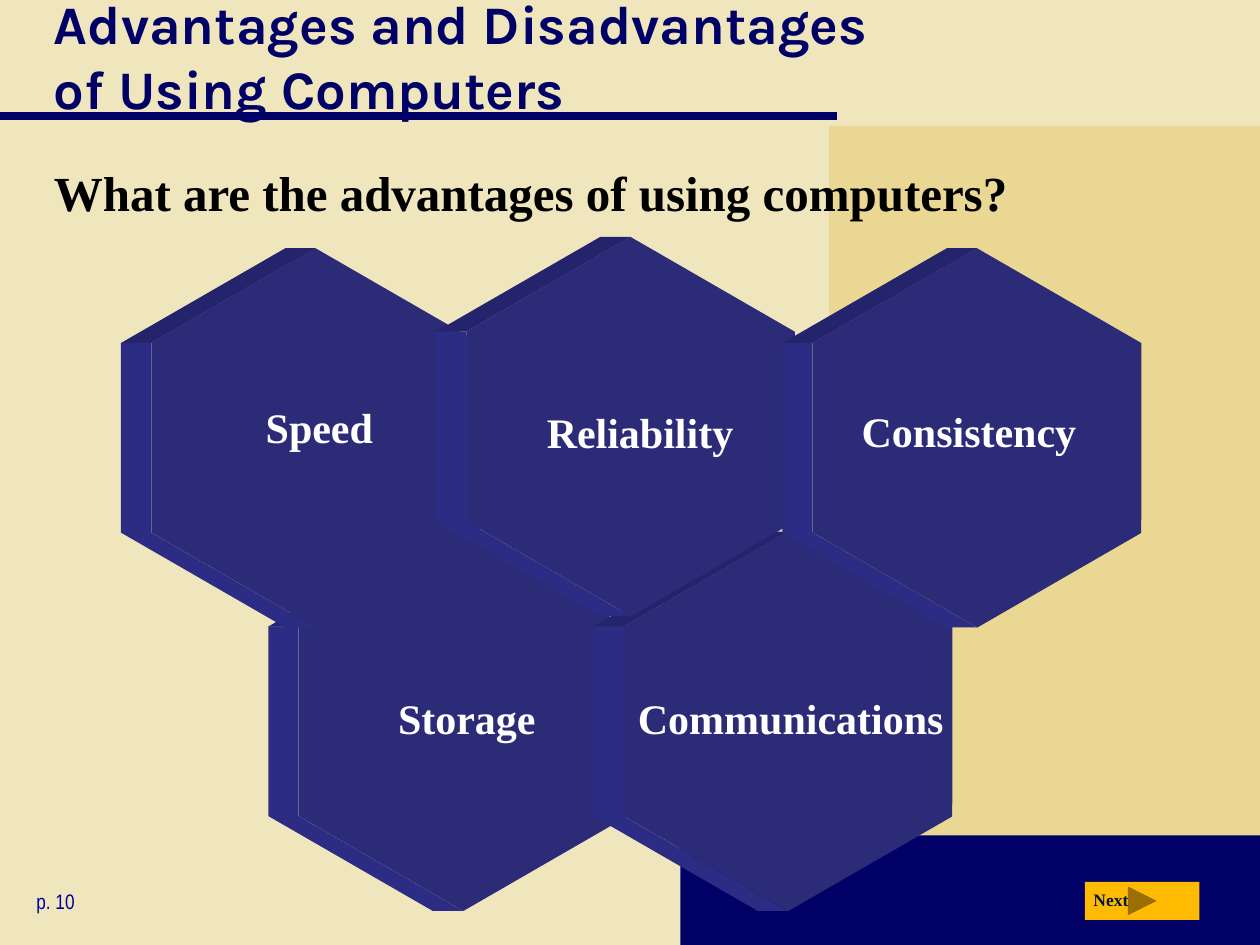
from dataclasses import dataclass

from lxml import etree
from pptx import Presentation
from pptx.dml.color import RGBColor
from pptx.enum.shapes import MSO_CONNECTOR, MSO_SHAPE
from pptx.enum.text import MSO_ANCHOR, PP_ALIGN
from pptx.oxml.ns import qn
from pptx.util import Inches, Pt

STRAIGHT = MSO_CONNECTOR.STRAIGHT
RECTANGLE = MSO_SHAPE.RECTANGLE
HEXAGON = MSO_SHAPE.HEXAGON
NEXT_BUTTON = MSO_SHAPE.ACTION_BUTTON_FORWARD_OR_NEXT
TOP, MIDDLE = MSO_ANCHOR.TOP, MSO_ANCHOR.MIDDLE
LEFT, CENTER = PP_ALIGN.LEFT, PP_ALIGN.CENTER


@dataclass(frozen=True)
class TextStyle:
    font: str
    size: float
    color: str
    bold: bool = True
    align: int = LEFT
    anchor: int = TOP
    top_inset: float = 0.05


@dataclass(frozen=True)
class Theme:
    background: str = "F0E6BE"
    sand: str = "E9D793"
    navy: str = "000066"
    face: str = "2B2B78"
    upper_side: str = "24246C"
    lower_side: str = "2C2C85"
    button: str = "FFBA02"
    title: TextStyle = TextStyle("Karla", 31, "000066", anchor=MIDDLE)
    question: TextStyle = TextStyle("Times New Roman", 28, "000000", top_inset=0.1)
    label: TextStyle = TextStyle("Times New Roman", 24, "FFFFFF", align=CENTER, top_inset=0.08)
    page: TextStyle = TextStyle("Arial Narrow", 12, "000099", bold=False)
    next: TextStyle = TextStyle("Times New Roman", 10, "001932")


@dataclass(frozen=True)
class Box:
    left: float
    top: float
    width: float
    height: float

    def lengths(self) -> tuple:
        return tuple(Inches(v) for v in (self.left, self.top, self.width, self.height))


@dataclass(frozen=True)
class Advantage:
    name: str
    left: float
    top: float
    label: Box


THEME = Theme()
HEX_WIDTH, HEX_HEIGHT, DEPTH = 3.01, 2.61, 0.24

LOWER_ROW = [
    Advantage("Storage", 2.17, 4.42, Box(2.33, 5.42, 2.75, 0.5)),
    Advantage("Communications", 4.75, 4.42, Box(4.9, 5.42, 2.75, 0.5)),
]
UPPER_ROW = [
    Advantage("Speed", 1, 2.17, Box(1.17, 3.11, 2.73, 0.5)),
    Advantage("Reliability", 3.5, 2.08, Box(3.67, 3.15, 2.82, 0.5)),
    Advantage("Consistency", 6.25, 2.17, Box(6.28, 3.14, 2.82, 0.5)),
]


def paint(shape, color: str) -> None:
    shape.fill.solid()
    shape.fill.fore_color.rgb = RGBColor.from_string(color)
    shape.line.fill.background()
    shape.shadow.inherit = False


def add_block(shapes, preset: int, box: Box, color: str):
    shape = shapes.add_shape(preset, *box.lengths())
    paint(shape, color)
    return shape


def add_text(shapes, text: str, box: Box, style: TextStyle) -> None:
    text_frame = shapes.add_textbox(*box.lengths()).text_frame
    text_frame.word_wrap = True
    text_frame.vertical_anchor = style.anchor
    text_frame.margin_top = Inches(style.top_inset)
    paragraph = text_frame.paragraphs[0]
    paragraph.text = text
    paragraph.alignment = style.align
    for run in paragraph.runs:
        run.font.name = style.font
        run.font.size = Pt(style.size)
        run.font.bold = style.bold
        run.font.color.rgb = RGBColor.from_string(style.color)


def add_side(shapes, edge: list, color: str) -> None:
    back = [(x - DEPTH, y) for x, y in reversed(edge)]
    points = [(Inches(x), Inches(y)) for x, y in edge + back]
    builder = shapes.build_freeform(*points[0])
    builder.add_line_segments(points[1:], close=True)
    paint(builder.convert_to_shape(), color)


def add_advantage(slide, advantage: Advantage) -> None:
    shapes = slide.shapes.add_group_shape().shapes
    center_x = advantage.left + HEX_WIDTH / 2
    center_y = advantage.top + HEX_HEIGHT / 2
    side_x = center_x - HEX_HEIGHT / 2
    peak = (center_x, center_y - HEX_WIDTH / 2)
    upper = (side_x, center_y - HEX_WIDTH / 4)
    lower = (side_x, center_y + HEX_WIDTH / 4)
    foot = (center_x, center_y + HEX_WIDTH / 2)
    add_side(shapes, [peak, upper], THEME.upper_side)
    add_side(shapes, [upper, lower, foot], THEME.lower_side)
    box = Box(advantage.left, advantage.top, HEX_WIDTH, HEX_HEIGHT)
    face = add_block(shapes, HEXAGON, box, THEME.face)
    face.adjustments[0] = 0.289
    face.rotation = 330
    add_text(shapes, advantage.name, advantage.label, THEME.label)


def add_title_rule(slide) -> None:
    rule = slide.shapes.add_connector(
        STRAIGHT, Inches(0), Inches(0.92), Inches(6.64), Inches(0.92)
    )
    rule.line.color.rgb = RGBColor.from_string(THEME.navy)
    rule.line.width = Pt(5)
    etree.SubElement(rule.element.spPr, qn("a:effectLst"))


def add_next_button(slide) -> None:
    shapes = slide.shapes.add_group_shape().shapes
    add_block(shapes, NEXT_BUTTON, Box(8.61, 7, 0.91, 0.3), THEME.button)
    add_text(shapes, "Next", Box(8.58, 7.01, 0.51, 0.27), THEME.next)


def main() -> None:
    presentation = Presentation()
    presentation.slide_width = Inches(10)
    presentation.slide_height = Inches(7.5)
    slide = presentation.slides.add_slide(presentation.slide_layouts[6])
    slide.background.fill.solid()
    slide.background.fill.fore_color.rgb = RGBColor.from_string(THEME.background)

    add_block(slide.shapes, RECTANGLE, Box(6.58, 1, 3.42, 6.5), THEME.sand)
    add_block(slide.shapes, RECTANGLE, Box(5.4, 6.63, 4.6, 0.87), THEME.navy)
    add_title_rule(slide)
    for advantage in LOWER_ROW:
        add_advantage(slide, advantage)
    title = "Advantages and Disadvantages\nof Using Computers"
    add_text(slide.shapes, title, Box(0.33, 0, 9.39, 0.88), THEME.title)
    add_text(slide.shapes, "p. 10", Box(0.19, 7, 1.69, 0.3), THEME.page)
    question = "What are the advantages of using computers?"
    add_text(slide.shapes, question, Box(0.33, 1.19, 9.39, 0.72), THEME.question)
    for advantage in UPPER_ROW:
        add_advantage(slide, advantage)
    add_next_button(slide)
    presentation.save("out.pptx")


if __name__ == "__main__":
    main()
